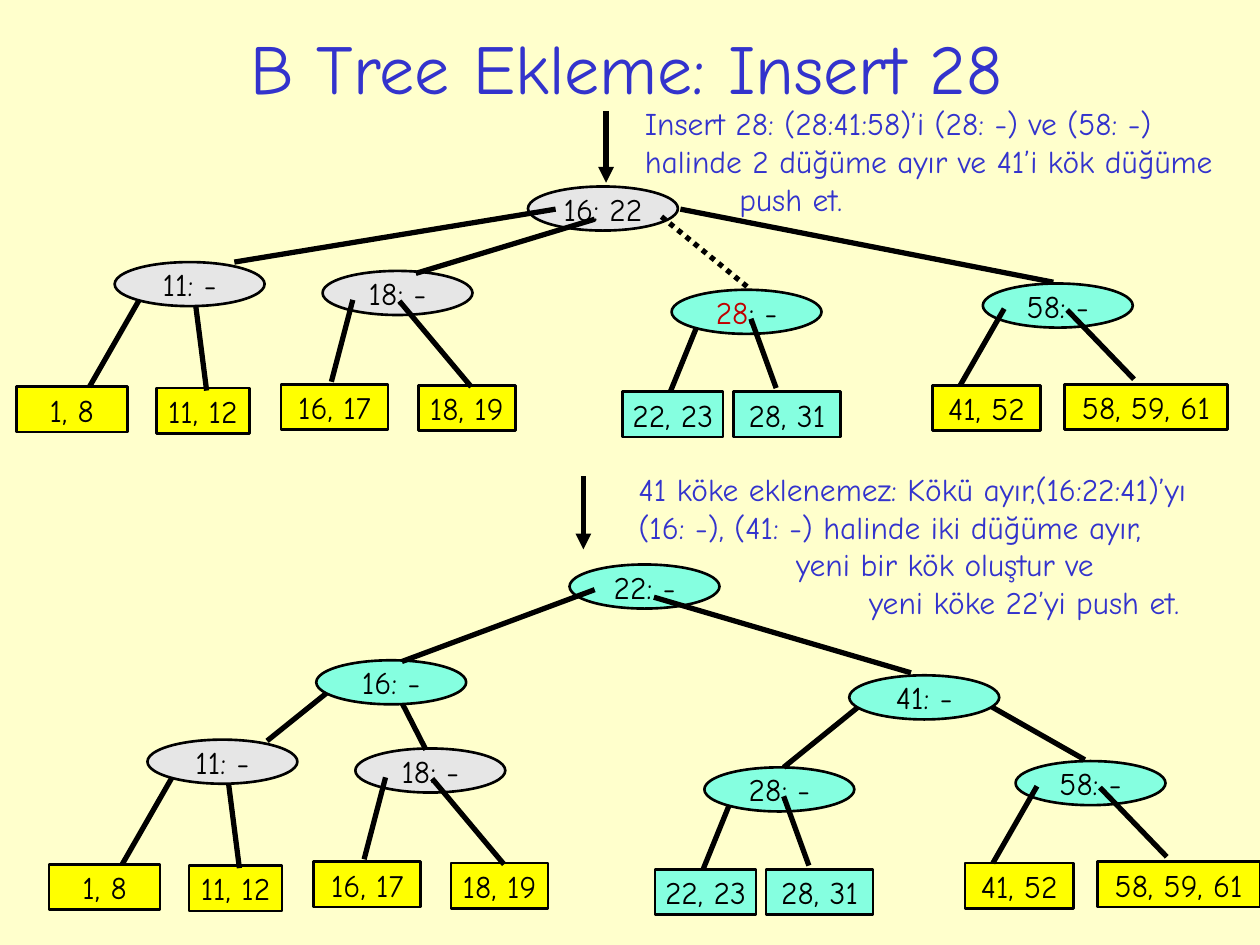
from lxml import etree
from pptx import Presentation
from pptx.dml.color import RGBColor
from pptx.enum.dml import MSO_LINE
from pptx.enum.shapes import MSO_CONNECTOR, MSO_SHAPE
from pptx.enum.text import MSO_ANCHOR, PP_ALIGN
from pptx.oxml.ns import qn
from pptx.util import Inches, Pt

OVAL, BOX = MSO_SHAPE.OVAL, MSO_SHAPE.RECTANGLE
STRAIGHT = MSO_CONNECTOR.STRAIGHT
DOTTED = MSO_LINE.ROUND_DOT
MIDDLE = MSO_ANCHOR.MIDDLE
CENTER, LEFT = PP_ALIGN.CENTER, PP_ALIGN.LEFT

THEME = {
    "font": "Comic Neue", "title_size": 40, "text_size": 18,
    "background": "FFFFCC", "heading": "3333CC", "ink": "000000", "inserted": "C00000",
    "old_node": "E6E6E6", "new": "85FFE0", "leaf": "FFFF00",
    "outline": 1.5, "edge": 3,
}
NODE_SIZE = (1.19, 0.35)
LEAF_HEIGHT = 0.36
AFTER_SPLIT = (0.26, 3.79)  # shift of the lower tree's subtrees

TITLE = "B Tree Ekleme: Insert 28"

# Notes: (left, top, width, height), then (line, indent)
NOTES = [
    ((5.02, 0.78, 4.9, 1.0), [
        ("Insert 28: (28:41:58)’i (28: -) ve (58: -)", 0),
        ("halinde 2 düğüme ayır ve 41’i kök düğüme", 0),
        ("push et.", 0.75)]),
    ((4.97, 3.68, 4.9, 1.3), [
        ("41 köke eklenemez: Kökü ayır,(16:22:41)’yı", 0),
        ("(16: -), (41: -) halinde iki düğüme ayır,", 0),
        ("yeni bir kök oluştur ve", 1.25),
        ("yeni köke 22’yi push et.", 1.83)]),
]
STEP_ARROWS = [((4.81, 0.88), (4.81, 1.45)), ((4.63, 3.78), (4.63, 4.36))]

# Subtrees: key, place, fill; leaves (text, left, top, width); edges behind and over the node
SUBTREES = [
    {"key": "11", "at": (0.91, 2.08), "fill": "old_node", "leaf_fill": "leaf",
     "leaves": [("1, 8", 0.13, 3.07, 0.88), ("11, 12", 1.24, 3.08, 0.74)],
     "behind": [((1.14, 2.32), (0.71, 3.07)), ((1.54, 2.32), (1.64, 3.1))], "over": []},
    {"key": "18", "at": (2.56, 2.15), "fill": "old_node", "leaf_fill": "leaf",
     "leaves": [("16, 17", 2.23, 3.05, 0.85), ("18, 19", 3.32, 3.06, 0.77)],
     "behind": [], "over": [((2.8, 2.38), (2.63, 3.03)), ((3.17, 2.39), (3.74, 3.07))]},
    {"key": "28", "at": (5.33, 2.3), "fill": "new", "leaf_fill": "new",
     "leaves": [("22, 23", 4.94, 3.11, 0.8), ("28, 31", 5.82, 3.11, 0.85)],
     "behind": [((5.56, 2.52), (5.32, 3.11))], "over": [((5.96, 2.53), (6.16, 3.08))]},
    {"key": "58", "at": (7.8, 2.25), "fill": "new", "leaf_fill": "leaf",
     "leaves": [("41, 52", 7.4, 3.06, 0.86), ("58, 59, 61", 8.45, 3.05, 1.29)],
     "behind": [], "over": [((7.97, 2.45), (7.62, 3.06)), ((8.47, 2.46), (9.0, 3.01))]},
]

FIRST_ROOT = ("16: 22", (4.19, 1.48), "old_node")
FIRST_ROOT_EDGES = [((4.41, 1.66), (1.86, 2.08)), ((4.72, 1.74), (3.3, 2.17)),
                    ((5.4, 1.66), (8.36, 2.24))]
PENDING_EDGE = ((5.25, 1.72), (5.96, 2.3))

NEW_ROOT = ("22: -", (4.52, 4.48), "new")
NEW_ROOT_EDGES = [((4.72, 4.68), (3.19, 5.25)), ((5.19, 4.74), (7.23, 5.34))]
SPLIT_NODES = [("16: -", (2.51, 5.24), "new"), ("41: -", (6.74, 5.36), "new")]
SPLIT_EDGES = [((2.68, 5.43), (2.12, 5.88)), ((3.15, 5.5), (3.38, 5.95)),
               ((6.85, 5.58), (6.22, 6.09)), ((7.8, 5.57), (8.61, 6.03))]


def color(role):
    return RGBColor.from_string(THEME[role])


def shifted(point, offset):
    return point[0] + offset[0], point[1] + offset[1]


def add_run(paragraph, text, role, size="text_size"):
    run = paragraph.add_run()
    run.text = text
    run.font.name = THEME["font"]
    run.font.size = Pt(THEME[size])
    run.font.color.rgb = color(role)


def add_cell(slide, preset, at, size, fill, runs):
    """Outlined tree node or leaf with centred (text, colour role) runs."""
    cell = slide.shapes.add_shape(preset, *map(Inches, (*at, *size)))
    cell.shadow.inherit = False
    cell.fill.solid()
    cell.fill.fore_color.rgb = color(fill)
    cell.line.color.rgb = color("ink")
    cell.line.width = Pt(THEME["outline"])
    frame = cell.text_frame
    frame.word_wrap = False
    frame.vertical_anchor = MIDDLE
    paragraph = frame.paragraphs[0]
    paragraph.alignment = CENTER
    for text, role in runs:
        add_run(paragraph, text, role)


def add_node(slide, text, at, fill):
    add_cell(slide, OVAL, at, NODE_SIZE, fill, [(text, "ink")])


def add_edge(slide, start, end, dash=None, arrow=False):
    edge = slide.shapes.add_connector(STRAIGHT, *map(Inches, (*start, *end)))
    edge.line.color.rgb = color("ink")
    edge.line.width = Pt(THEME["edge"])
    if dash is not None:
        edge.line.dash_style = dash
    if arrow:
        etree.SubElement(edge.line._get_or_add_ln(), qn("a:tailEnd"), type="triangle")
    etree.SubElement(edge._element.spPr, qn("a:effectLst"))


def add_edges(slide, edges, offset=(0, 0)):
    for start, end in edges:
        add_edge(slide, shifted(start, offset), shifted(end, offset))


def add_subtrees(slide, offset=(0, 0), inserted=None):
    for tree in SUBTREES:
        for text, left, top, width in tree["leaves"]:
            add_cell(slide, BOX, shifted((left, top), offset), (width, LEAF_HEIGHT),
                     tree["leaf_fill"], [(text, "ink")])
        add_edges(slide, tree["behind"], offset)
        key = tree["key"]
        runs = [(key, "inserted"), (": -", "ink")] if key == inserted else [(f"{key}: -", "ink")]
        add_cell(slide, OVAL, shifted(tree["at"], offset), NODE_SIZE, tree["fill"], runs)
        add_edges(slide, tree["over"], offset)


def add_note(slide, box, lines):
    frame = slide.shapes.add_textbox(*map(Inches, box)).text_frame
    frame.word_wrap = True
    for index, (text, indent) in enumerate(lines):
        paragraph = frame.add_paragraph() if index else frame.paragraphs[0]
        paragraph.alignment = LEFT
        if indent:
            paragraph._p.get_or_add_pPr().set("marL", str(Inches(indent)))
        add_run(paragraph, text, "heading")


def add_title(slide):
    title = slide.shapes.title
    title.left, title.top, title.width, title.height = map(Inches, (0.72, 0.15, 8.5, 0.76))
    title.text_frame.vertical_anchor = MIDDLE
    paragraph = title.text_frame.paragraphs[0]
    paragraph.alignment = CENTER
    add_run(paragraph, TITLE, "heading", "title_size")


def main():
    deck = Presentation()
    deck.slide_width, deck.slide_height = Inches(10), Inches(7.5)
    slide = deck.slides.add_slide(deck.slide_layouts[5])
    slide.background.fill.solid()
    slide.background.fill.fore_color.rgb = color("background")

    add_title(slide)
    for start, end in STEP_ARROWS:
        add_edge(slide, start, end, arrow=True)
    for box, lines in NOTES:
        add_note(slide, box, lines)

    add_node(slide, *FIRST_ROOT)
    add_subtrees(slide, inserted="28")
    add_edges(slide, FIRST_ROOT_EDGES)
    add_edge(slide, *PENDING_EDGE, dash=DOTTED)

    add_node(slide, *NEW_ROOT)
    add_subtrees(slide, AFTER_SPLIT)
    add_edges(slide, SPLIT_EDGES)
    for node in SPLIT_NODES:
        add_node(slide, *node)
    add_edges(slide, NEW_ROOT_EDGES)

    deck.save("out.pptx")


if __name__ == "__main__":
    main()
